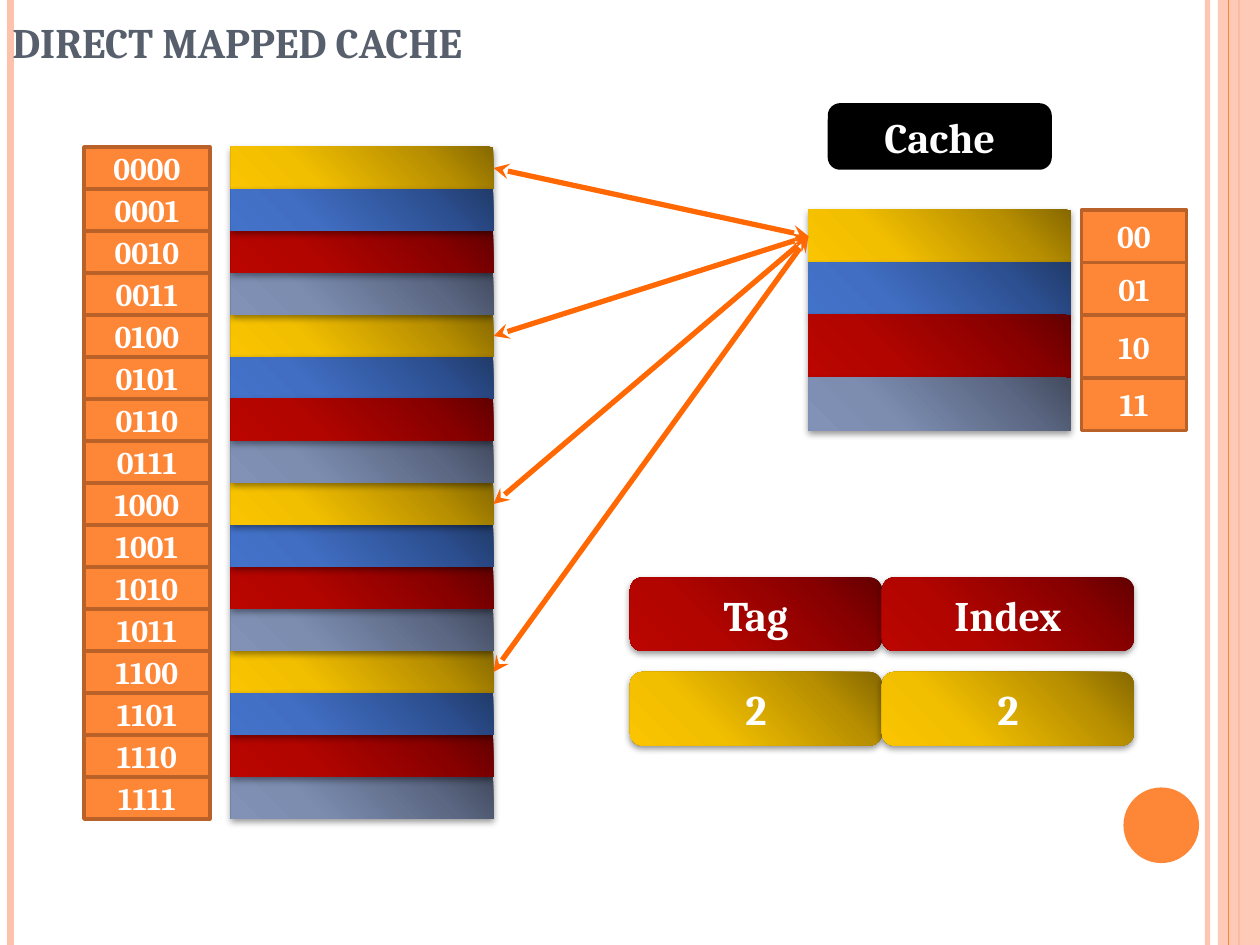
from collections import namedtuple

from pptx import Presentation
from pptx.dml.color import RGBColor
from pptx.enum.shapes import MSO_CONNECTOR, MSO_SHAPE
from pptx.enum.text import MSO_ANCHOR as Anchor, PP_ALIGN as Align
from pptx.oxml import parse_xml
from pptx.oxml.ns import nsdecls, qn
from pptx.util import Inches, Pt

WHITE = RGBColor(0xFF, 0xFF, 0xFF)
BLACK = RGBColor(0x00, 0x00, 0x00)
SLATE = RGBColor(0x57, 0x5F, 0x6D)
ORANGE = RGBColor(0xFE, 0x86, 0x37)
BROWN = RGBColor(0xB9, 0x61, 0x28)
PEACH = RGBColor(0xFE, 0xC2, 0xAC)
ARROW = RGBColor(0xFF, 0x68, 0x03)
GOLD = ("FAC500", "F1BE00", "B88F00", "866900")
BLUE = ("4373C9", "416EC2", "2D5092", "213B6A")
RED = ("BA0500", "B20500", "890000", "630000")
GRAY = ("8291B6", "7C8DB0", "5B6783", "434B5F")
LINE_COLORS = (GOLD, BLUE, RED, GRAY)
STOPS = (0, 30, 75, 100)

COLUMNS, ROWS = 120, 90
FONT = "Cambria"
MEMORY_ORDER = (0, 12, 11, 10, 9, 8, 7, 4, 3, 2, 1, 5, 6, 15, 14, 13)

Box = namedtuple("Box", "left top width height")


def grid(value):
    """Turn grid units, twelve to the inch, into a length."""
    return Inches(value / 12)


def set_alpha(properties, percent):
    """Make the first solid colour under the properties translucent."""
    color = next(properties.iter(qn("a:srgbClr")))
    color.append(parse_xml(f'<a:alpha {nsdecls("a")} val="{percent * 1000}"/>'))


def write(shape, text, size, color=WHITE, align=Align.CENTER, anchor=Anchor.MIDDLE):
    """Write one bold line of text in the shape."""
    frame = shape.text_frame
    frame.text = text
    frame.word_wrap = True
    frame.vertical_anchor = anchor
    paragraph = frame.paragraphs[0]
    paragraph.alignment = align
    font = paragraph.runs[0].font
    font.name, font.size, font.bold = FONT, Pt(size), True
    font.color.rgb = color


def add_block(shapes, kind, box, fill, outline=None):
    """Add a flat shape, with a two-point outline if one is given."""
    shape = shapes.add_shape(kind, *map(grid, box))
    shape.shadow.inherit = False
    shape.fill.solid()
    shape.fill.fore_color.rgb = fill
    if outline is None:
        shape.line.fill.background()
    else:
        shape.line.color.rgb = outline
        shape.line.width = Pt(2)
    return shape


def add_glossy(shapes, kind, box, colors):
    """Add a shape with a radial gradient and a soft shadow below."""
    shape = add_block(shapes, kind, box, BLACK)
    properties = shape._element.spPr
    stops = "".join(
        f'<a:gs pos="{stop * 1000}"><a:srgbClr val="{color}"/></a:gs>'
        for stop, color in zip(STOPS, colors))
    gradient = parse_xml(
        f'<a:gradFill {nsdecls("a")} rotWithShape="1"><a:gsLst>{stops}</a:gsLst>'
        '<a:path path="circle"><a:fillToRect t="100000" r="100000"/></a:path></a:gradFill>')
    properties.replace(properties.find(qn("a:solidFill")), gradient)
    properties.find(qn("a:effectLst")).append(parse_xml(
        f'<a:outerShdw {nsdecls("a")} blurRad="50800" dist="20320" dir="5400000" '
        'rotWithShape="0"><a:srgbClr val="000000"><a:alpha val="42000"/></a:srgbClr>'
        '</a:outerShdw>'))
    return shape


def add_line(shapes, start, end, color, width):
    """Add a straight line between two grid points."""
    line = shapes.add_connector(MSO_CONNECTOR.STRAIGHT, *map(grid, start + end))
    line.line.color.rgb = color
    line.line.width = Pt(width)
    line._element.spPr.append(parse_xml(f'<a:effectLst {nsdecls("a")}/>'))
    return line


def add_frame(shapes, box):
    """Draw the side stripes and the disc inside the slide box."""
    bottom = box.top + box.height
    right = box.left + box.width

    def stripe(column, color, width):
        return add_line(shapes, (column, box.top), (column, bottom), color, width)

    set_alpha(stripe(right - 5, PEACH, 3)._element.spPr, 93)
    stripe(box.left + 1, PEACH, 4.5)
    stripe(right - 2, ORANGE, 1.5)
    band = add_block(shapes, MSO_SHAPE.RECTANGLE, Box(right - 4, box.top, 4, box.height), PEACH)
    set_alpha(band._element.spPr, 87)
    stripe(right - 3, ORANGE, 0.75)
    add_block(shapes, MSO_SHAPE.OVAL, Box(right - 13, bottom - 15, 7.2, 7.2), ORANGE)


def add_title(shapes, box):
    """Place the slide title in the box."""
    title = shapes.add_textbox(*map(grid, box))
    write(title, "DIRECT MAPPED CACHE", 24, SLATE, Align.LEFT, Anchor.BOTTOM)


def add_label(shapes, box, text):
    """Add an orange address cell."""
    label = add_block(shapes, MSO_SHAPE.RECTANGLE, box, ORANGE, BROWN)
    write(label, text, 18)


def add_cache(shapes, box):
    """Stack the four cache lines, their indexes and the heading."""
    heights = (5, 5, 6, 5)
    tops = [box.top + sum(heights[:index]) for index in range(len(heights))]
    for top, height, colors in zip(tops, heights, LINE_COLORS):
        add_glossy(shapes, MSO_SHAPE.RECTANGLE, Box(box.left, top, 25, height), colors)
    heading = add_block(shapes, MSO_SHAPE.ROUNDED_RECTANGLE,
                        Box(box.left + 2, box.top - 10, 21, 6), BLACK, BLACK)
    write(heading, "Cache", 24)
    labels = shapes.add_group_shape().shapes
    for index, (top, height) in enumerate(zip(tops, heights)):
        add_label(labels, Box(box.left + 26, top, 10, height), f"{index:02b}")


def add_memory(shapes, box):
    """Stack the sixteen memory blocks beside their addresses."""
    parts = shapes.add_group_shape().shapes
    step = box.height / len(MEMORY_ORDER)
    for address in MEMORY_ORDER:
        top = box.top + address * step
        add_glossy(parts, MSO_SHAPE.RECTANGLE, Box(box.left + 14, top, 25, step),
                   LINE_COLORS[address % len(LINE_COLORS)])
    for address in MEMORY_ORDER:
        top = box.top + address * step
        add_label(parts, Box(box.left, top, 12, step), f"{address:04b}")


def add_arrows(shapes, memory, cache):
    """Link every gold memory block with the first cache line."""
    step = memory.height / len(MEMORY_ORDER)
    for address in range(0, len(MEMORY_ORDER), len(LINE_COLORS)):
        start = (memory.left + memory.width, memory.top + (address + 0.5) * step)
        arrow = add_line(shapes, start, (cache.left, cache.top + 2.5), ARROW, 3)
        for end in ("headEnd", "tailEnd"):
            arrow.line._ln.append(parse_xml(f'<a:{end} {nsdecls("a")} type="stealth"/>'))


def add_address_fields(shapes, box):
    """Show the tag and index fields above their bit counts."""
    fields = ((RED, ("Tag", "Index")), (GOLD, ("2", "2")))
    width = box.width / 2
    for row, (colors, texts) in enumerate(fields):
        for column, text in enumerate(texts):
            cell = Box(box.left + column * width, box.top + row * 9, width, 7)
            write(add_glossy(shapes, MSO_SHAPE.ROUNDED_RECTANGLE, cell, colors), text, 24)


def main():
    """Build and save the slide."""
    presentation = Presentation()
    presentation.slide_width, presentation.slide_height = grid(COLUMNS), grid(ROWS)
    shapes = presentation.slides.add_slide(presentation.slide_layouts[6]).shapes
    cache, memory = Box(77, 20, 36, 21), Box(8, 14, 39, 64)
    add_frame(shapes, Box(0, 0, COLUMNS, ROWS))
    add_title(shapes, Box(0, 0, COLUMNS, 7))
    add_cache(shapes, cache)
    add_memory(shapes, memory)
    add_arrows(shapes, memory, cache)
    add_address_fields(shapes, Box(60, 55, 48, 16))
    presentation.save("out.pptx")


if __name__ == "__main__":
    main()
